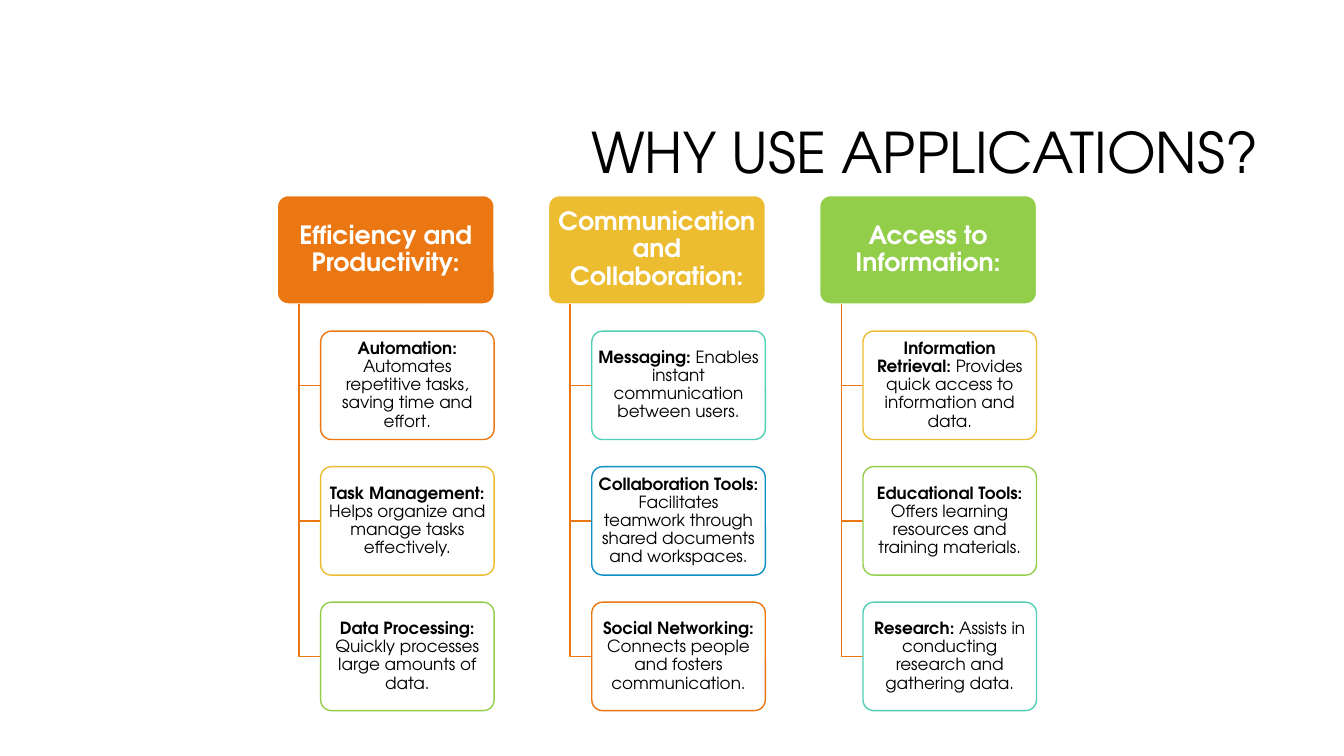
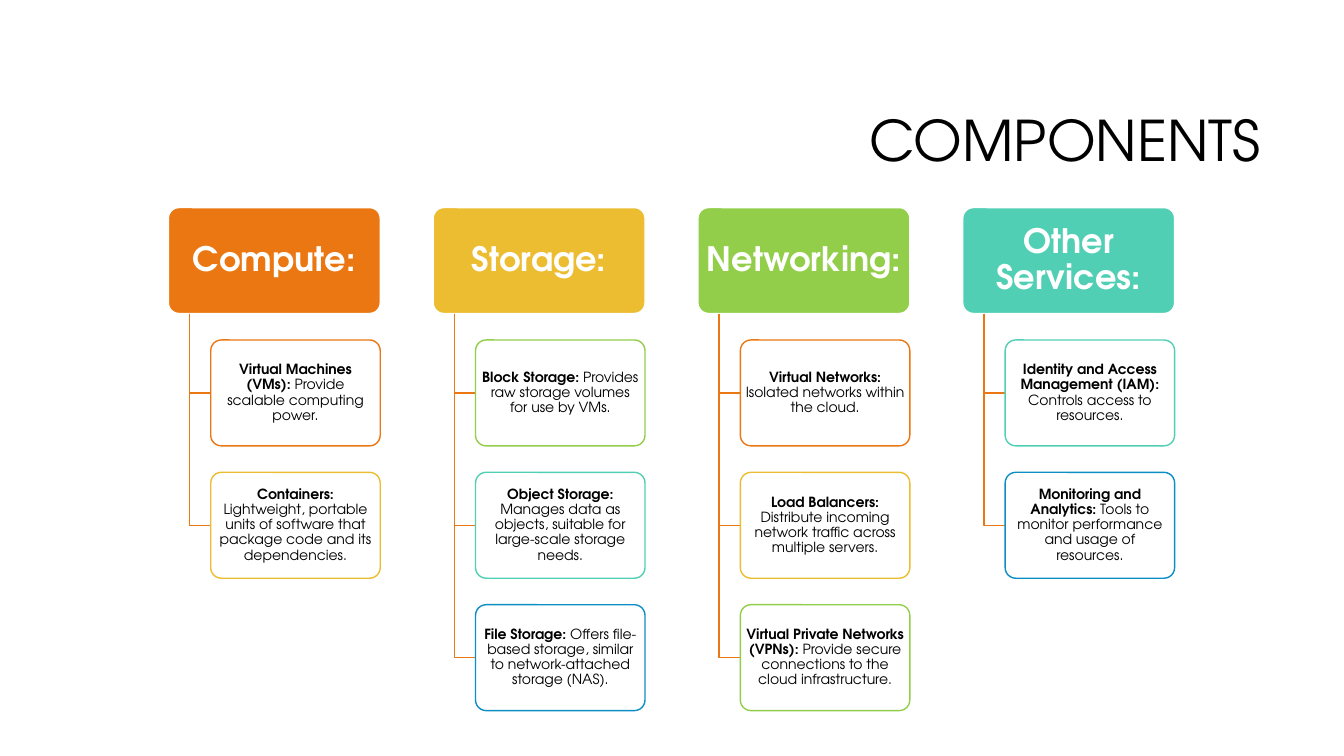
from itertools import cycle

from lxml.etree import SubElement
from pptx import Presentation
from pptx.dml.color import RGBColor
from pptx.enum.shapes import MSO_SHAPE
from pptx.enum.text import MSO_ANCHOR, MSO_AUTO_SIZE, PP_ALIGN
from pptx.oxml.ns import qn
from pptx.util import Inches, Pt

FONT = "TeX Gyre Adventor"
ORANGE, WHITE, BLACK = "EB7712", "FFFFFF", "000000"
ACCENTS = [ORANGE, "ECBD31", "92CE4A", "50CFB4", "0D8EC5"]
BOTTOM = 7.05

SLIDES = [
    dict(title="WHY USE APPLICATIONS?", title_left=3.16, title_top=0.84, left=2.75, top=1.94,
         head_size=18, card_size=12, head_inset=0.04, card_inset=0.03, columns=[
        ("Efficiency and Productivity:", [
            ("Automation:", "Automates repetitive tasks, saving time and effort."),
            ("Task Management:", "Helps organize and manage tasks effectively."),
            ("Data Processing:", "Quickly processes large amounts of data.")]),
        ("Communication and Collaboration:", [
            ("Messaging:", "Enables instant communication between users."),
            ("Collaboration Tools:", "Facilitates teamwork through shared documents and workspaces."),
            ("Social Networking:", "Connects people and fosters communication.")]),
        ("Access to Information:", [
            ("Information Retrieval:", "Provides quick access to information and data."),
            ("Educational Tools:", "Offers learning resources and training materials."),
            ("Research:", "Assists in conducting research and gathering data.")])]),
    dict(title="COMPONENTS", title_left=3.18, title_top=0.72, left=1.67, top=2.06,
         head_size=24, card_size=10, head_inset=0.05, card_inset=0.02, columns=[
        ("Compute:", [
            ("Virtual Machines (VMs):", "Provide scalable computing power."),
            ("Containers:", "Lightweight, portable units of software that package code and its dependencies.")]),
        ("Storage:", [
            ("Block Storage:", "Provides raw storage volumes for use by VMs."),
            ("Object Storage:", "Manages data as objects, suitable for large-scale storage needs."),
            ("File Storage:", "Offers file-based storage, similar to network-attached storage (NAS).")]),
        ("Networking:", [
            ("Virtual Networks:", "Isolated networks within the cloud."),
            ("Load Balancers:", "Distribute incoming network traffic across multiple servers."),
            ("Virtual Private Networks (VPNs):", "Provide secure connections to the cloud infrastructure.")]),
        ("Other Services:", [
            ("Identity and Access Management (IAM):", "Controls access to resources."),
            ("Monitoring and Analytics:", "Tools to monitor performance and usage of resources.")])]),
]


def style_line(sp, color):
    sp.line.color.rgb = RGBColor.from_string(color)
    sp.line.width = Pt(1)
    sp.shadow.inherit = False


def add_box(s, x, y, w, h, fill, line, texts, size, color, inset):
    sp = s.shapes.add_shape(MSO_SHAPE.ROUNDED_RECTANGLE,
                            Inches(x), Inches(y), Inches(w), Inches(h))
    sp.adjustments[0] = 0.1
    sp.fill.solid()
    sp.fill.fore_color.rgb = RGBColor.from_string(fill)
    style_line(sp, line)
    tf = sp.text_frame
    tf.word_wrap = True
    tf.vertical_anchor = MSO_ANCHOR.MIDDLE
    tf.margin_left = tf.margin_right = Inches(inset)
    tf.margin_top = tf.margin_bottom = Inches(inset / 2)
    p = tf.paragraphs[0]
    p.alignment = PP_ALIGN.CENTER
    p.line_spacing = 0.9
    for i, text in enumerate(texts):
        r = p.add_run()
        r.text = text
        r.font.name = FONT
        r.font.size = Pt(size)
        r.font.bold = i == 0
        r.font.color.rgb = RGBColor.from_string(color)
    return sp


prs = Presentation()
prs.slide_width, prs.slide_height = Inches(13.33), Inches(7.5)

for data in SLIDES:
    s = prs.slides.add_slide(prs.slide_layouts[5])
    title = s.shapes.title
    title.left, title.top = Inches(data["title_left"]), Inches(data["title_top"])
    title.width, title.height = Inches(9.42), Inches(1.41)
    tf = title.text_frame
    tf.text = data["title"]
    tf.word_wrap = True
    tf.auto_size = MSO_AUTO_SIZE.NONE
    tf.vertical_anchor = MSO_ANCHOR.MIDDLE
    p = tf.paragraphs[0]
    p.alignment = PP_ALIGN.RIGHT
    p.line_spacing = 0.9
    p.runs[0].font.name = FONT
    p.runs[0].font.size = Pt(40)
    p.runs[0].font.color.rgb = RGBColor.from_string(BLACK)

    top = data["top"]
    row = (BOTTOM - top) / 3.8
    box_h = row * 0.8
    head_w = box_h * 2
    card_w = head_w * 0.8
    card_colors = cycle(ACCENTS)

    for col, (heading, cards) in enumerate(data["columns"]):
        x = data["left"] + col * head_w * 1.25
        rail_x, card_x = x + head_w * 0.1, x + head_w * 0.2
        add_box(s, x, top, head_w, box_h, ACCENTS[col], WHITE, [heading],
                data["head_size"], WHITE, data["head_inset"])
        for i, (name, detail) in enumerate(cards, 1):
            card_y = top + i * row
            mid = Inches(card_y + box_h / 2)
            elbow = s.shapes.build_freeform(Inches(rail_x), Inches(top + box_h))
            elbow.add_line_segments([(Inches(rail_x), mid), (Inches(card_x), mid)], close=False)
            sp = elbow.convert_to_shape()
            sp.fill.background()
            style_line(sp, ORANGE)
            card = add_box(s, card_x, card_y, card_w, box_h, WHITE,
                           next(card_colors), [name, " " + detail],
                           data["card_size"], BLACK, data["card_inset"])
            solid = card._element.spPr.find(qn("a:solidFill"))
            SubElement(solid[0], qn("a:alpha")).set("val", "90000")

prs.save("out.pptx")
